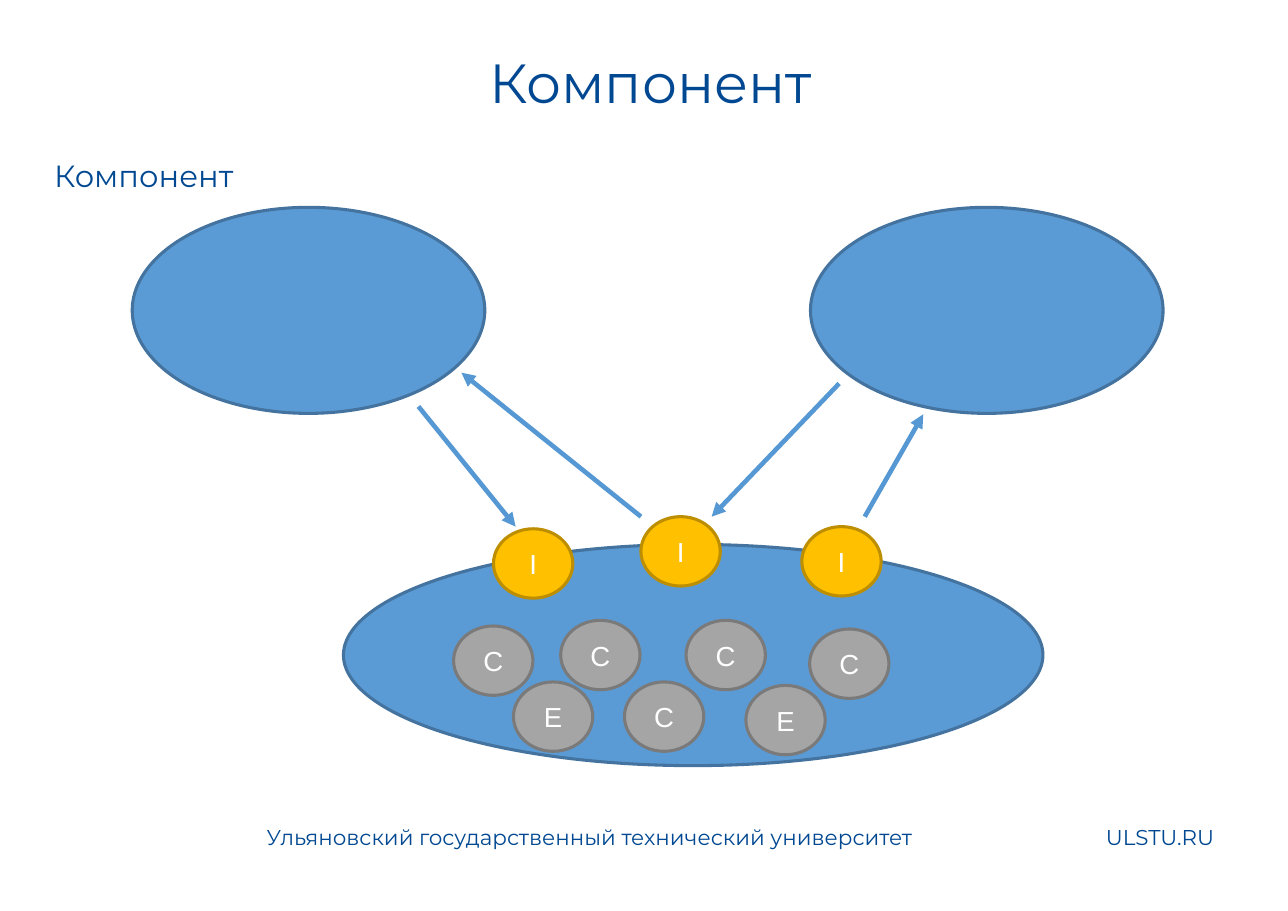
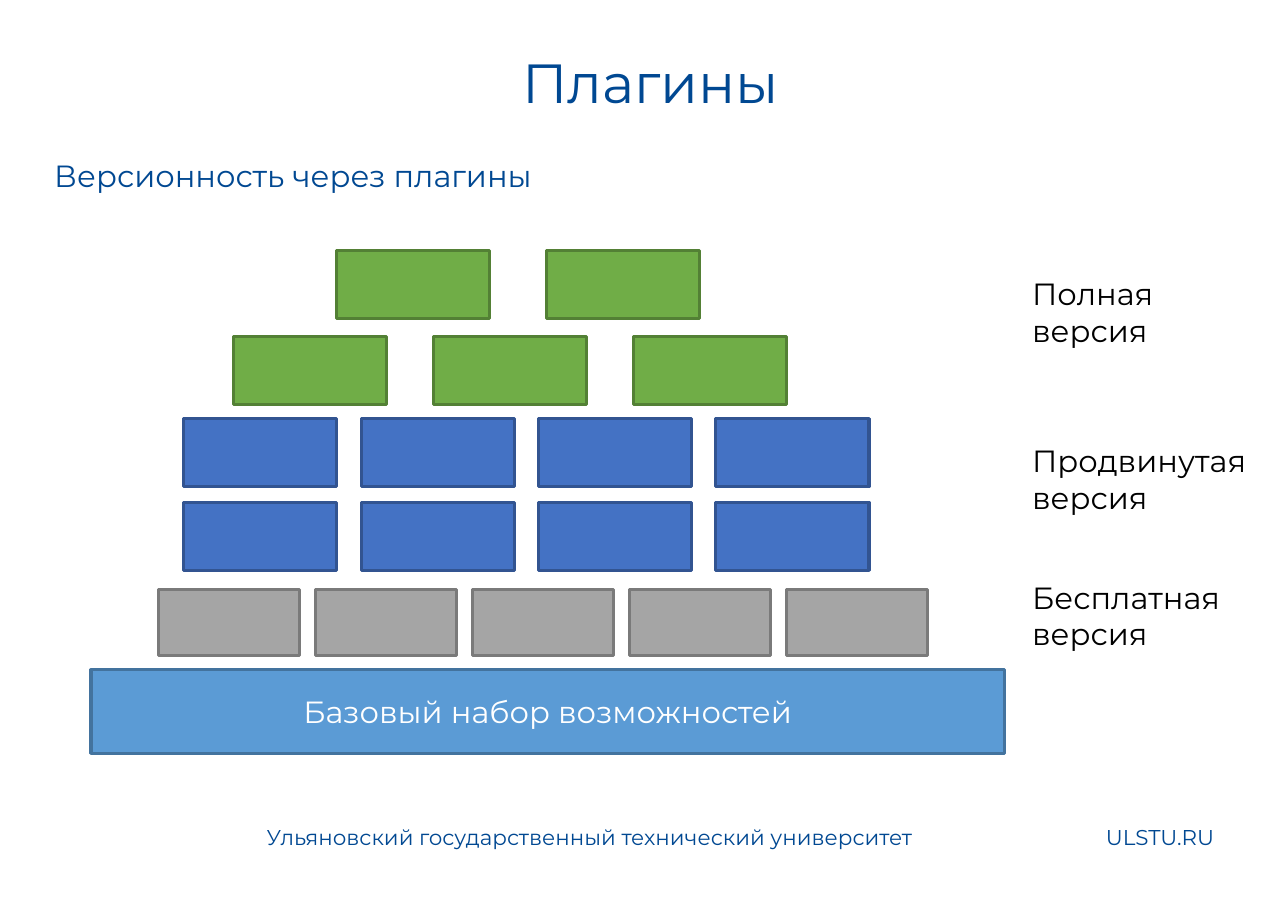
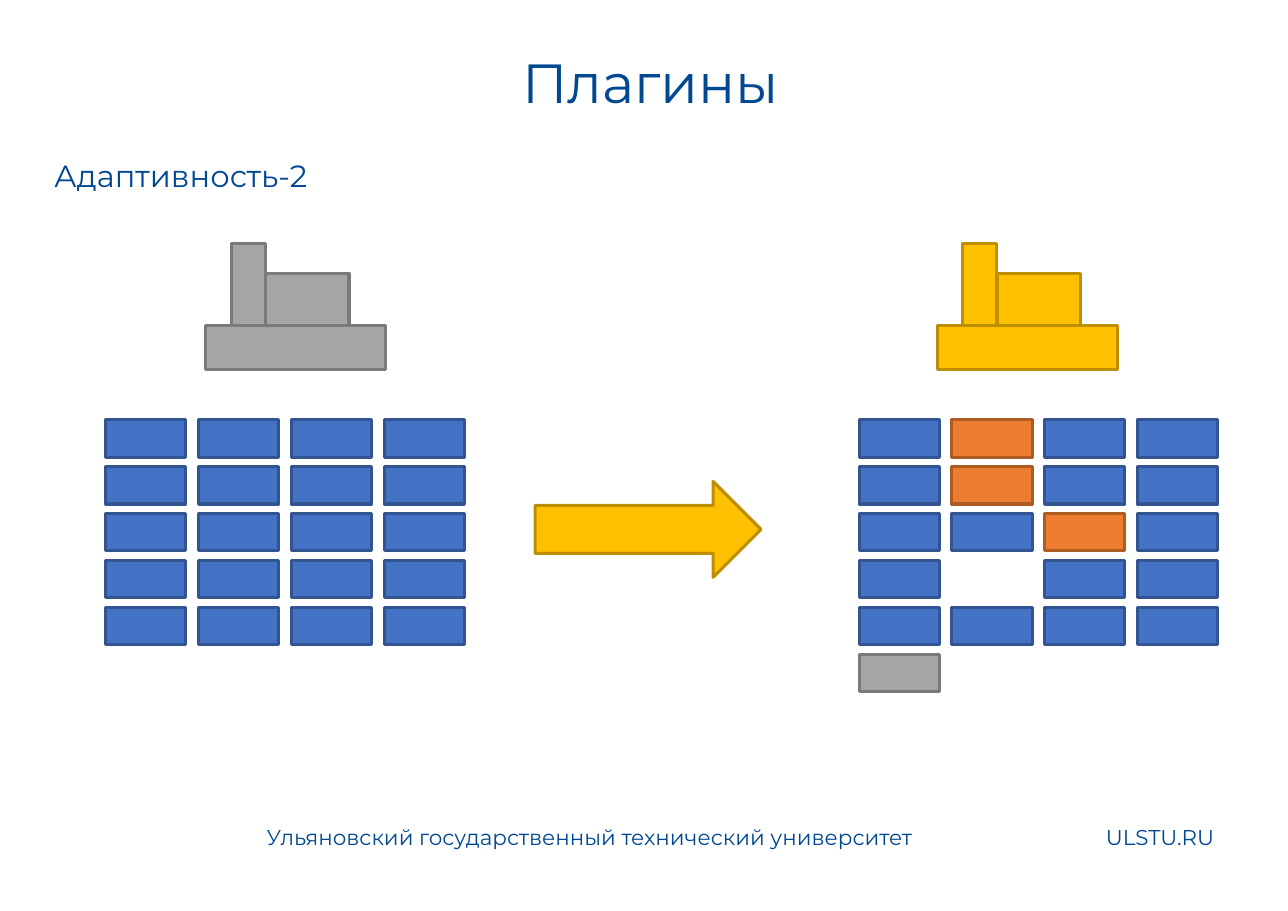
from dataclasses import dataclass

from lxml import etree
from pptx import Presentation
from pptx.dml.color import RGBColor
from pptx.enum import shapes, text
from pptx.oxml.ns import qn
from pptx.util import Cm, Pt


@dataclass(frozen=True)
class Theme:
    font: str = "Montserrat"
    mark_font: str = "Arial"
    ink: str = "004892"
    black: str = "000000"
    white: str = "FFFFFF"
    arrow: str = "5698D3"
    # fill and outline pairs
    sky: tuple = ("5B9BD5", "43739E")
    blue: tuple = ("4472C4", "325491")
    gold: tuple = ("FFC000", "BD8E00")
    gray: tuple = ("A5A5A5", "7A7A7A")
    green: tuple = ("70AD47", "538035")
    orange: tuple = ("ED7D31", "AF5C24")
    title: int = 36
    body: int = 20
    mark: int = 18
    footer: int = 14
    outline: int = 2
    arrow_width: int = 3


@dataclass(frozen=True)
class Box:
    x: float
    y: float
    w: float
    h: float

    def inside(self, x, y, w, h):
        """A box placed relative to this one."""
        return Box(self.x + x, self.y + y, w, h)

    def lengths(self):
        return Cm(self.x), Cm(self.y), Cm(self.w), Cm(self.h)


T = Theme()
PAGE_W, PAGE_H = 29.7, 21
RECT = shapes.MSO_SHAPE.RECTANGLE
OVAL = shapes.MSO_SHAPE.OVAL
ARROW = shapes.MSO_SHAPE.RIGHT_ARROW
CENTER = text.PP_ALIGN.CENTER


# Basic parts
def write(tf, words, size, color, font=T.font, align=None):
    tf.word_wrap = True
    p = tf.paragraphs[0]
    p.alignment = align
    r = p.add_run()
    r.text = words
    r.font.name = font
    r.font.size = Pt(size)
    r.font.color.rgb = RGBColor.from_string(color)


def add_text(s, box, words, size, color=T.ink, align=None):
    write(s.shapes.add_textbox(*box.lengths()).text_frame,
          words, size, color, align=align)


def add_block(parent, kind, box, colors, words="", size=T.body, font=T.font):
    fill, line = colors
    sp = parent.shapes.add_shape(kind, *box.lengths())
    sp.shadow.inherit = False
    sp.fill.solid()
    sp.fill.fore_color.rgb = RGBColor.from_string(fill)
    sp.line.color.rgb = RGBColor.from_string(line)
    sp.line.width = Pt(T.outline)
    if words:
        sp.text_frame.vertical_anchor = text.MSO_ANCHOR.MIDDLE
        write(sp.text_frame, words, size, T.white, font, CENTER)


def add_arrow(s, start, end):
    c = s.shapes.add_connector(shapes.MSO_CONNECTOR.STRAIGHT,
                               *map(Cm, start + end))
    c.line.color.rgb = RGBColor.from_string(T.arrow)
    c.line.width = Pt(T.arrow_width)
    props = c._element.spPr
    etree.SubElement(props.find(qn("a:ln")), qn("a:tailEnd"), type="triangle")
    etree.SubElement(props, qn("a:effectLst"))


def add_page(prs, title, subtitle):
    s = prs.slides.add_slide(prs.slide_layouts[6])
    add_text(s, Box(1, 1, 28, 2), title, T.title, align=CENTER)
    add_text(s, Box(1, 3.5, 28, 1.5), subtitle, T.body)
    add_text(s, Box(5.9, 18.87, 15.75, 1),
             "Ульяновский государственный технический университет", T.footer)
    add_text(s, Box(25.25, 18.87, 3.55, 1), "ULSTU.RU", T.footer)
    return s


# Component diagram
def component_diagram(s, box):
    node_w, node_h = 8.13, 4.75
    add_block(s, OVAL, box.inside(4.87, 7.77, 16.13, 5.1), T.sky)
    for x in (0, box.w - node_w):
        add_block(s, OVAL, box.inside(x, 0, node_w, node_h), T.sky)

    def add_marks(marks, colors):
        for letter, x, y in marks:
            add_block(s, OVAL, box.inside(x, y, 1.83, 1.6), colors,
                      letter, T.mark, T.mark_font)

    # Interfaces
    add_marks([("I", 8.33, 7.41), ("I", 15.44, 7.36), ("I", 11.73, 7.13)], T.gold)

    # Calls between the components
    for x1, y1, x2, y2 in [(6.6, 4.59, 8.84, 7.36), (16.3, 4.06, 13.36, 7.13),
                           (11.73, 7.13, 7.59, 3.81), (16.89, 7.13, 18.24, 4.77)]:
        add_arrow(s, (box.x + x1, box.y + y1), (box.x + x2, box.y + y2))

    # Inner classes
    add_marks([("C", 7.41, 9.65), ("C", 9.88, 9.52), ("C", 12.77, 9.52),
               ("C", 15.62, 9.72), ("C", 11.35, 10.94), ("E", 8.79, 10.94),
               ("E", 14.15, 11.02)], T.gray)


# Pyramid of plugins
def plugin_pyramid(s, box):
    base_h = 1.93
    add_block(s, RECT, box.inside(0, box.h - base_h, box.w, base_h), T.sky,
              "Базовый набор возможностей")
    large, small = (3.53, 1.57), (3.25, 1.52)
    rows = [  # colours, count, left, top, pitch, size
        (T.gray, 5, 1.56, 7.82, 3.62, small),
        (T.blue, 4, 2.14, 5.81, 4.09, large),
        (T.blue, 4, 2.14, 3.88, 4.09, large),
        (T.green, 3, 3.28, 1.98, 4.61, large),
        (T.green, 2, 5.67, 0, 4.83, large),
    ]
    for colors, count, left, top, pitch, size in rows:
        for i in range(count):
            add_block(s, RECT, box.inside(left + i * pitch, top, *size), colors)


def version_labels(s, box):
    for words, top in [("Полная версия", 0), ("Продвинутая версия", 3.84),
                       ("Бесплатная версия", 6.99)]:
        add_text(s, box.inside(0, top, box.w, 1.96), words, T.body, T.black)


# Adaptive system
def plugin_grid(s, box, rows):
    """Each letter of a row is one plugin; a dot leaves its cell empty."""
    palette = {"B": T.blue, "O": T.orange, "G": T.gray}
    cell_w, cell_h = 1.85, 0.86
    pitch_x, pitch_y = (box.w - cell_w) / 3, (box.h - cell_h) / 4
    group = s.shapes.add_group_shape()
    for i, row in enumerate(rows):
        for j, key in enumerate(row):
            if key in palette:
                add_block(group, RECT,
                          box.inside(j * pitch_x, i * pitch_y, cell_w, cell_h),
                          palette[key])


def factory(s, box, colors):
    group = s.shapes.add_group_shape()
    base_h = 1
    wall = box.h - base_h
    add_block(group, RECT, box.inside(0, wall, box.w, base_h), colors)
    add_block(group, RECT, box.inside(0.58, 0, 0.79, wall), colors)
    add_block(group, RECT, box.inside(1.37, 0.69, 1.93, wall - 0.69), colors)


def system_state(s, box, factory_x, colors, rows):
    factory(s, box.inside(factory_x, 0, 4.14, 2.9), colors)
    plugin_grid(s, box.inside(0, 4.07, box.w, 5.18), rows)


def main():
    prs = Presentation()
    prs.slide_width, prs.slide_height = Cm(PAGE_W), Cm(PAGE_H)

    s = add_page(prs, "Компонент", "Компонент")
    component_diagram(s, Box(3.05, 4.78, 23.77, 12.87))

    s = add_page(prs, "Плагины", "Версионность через плагины")
    plugin_pyramid(s, Box(2.1, 5.77, 21.06, 11.6))
    version_labels(s, Box(23.55, 6.22, 5.77, 8.95))

    s = add_page(prs, "Плагины", "Адаптивность-2")
    system_state(s, Box(2.44, 5.61, 8.27, 9.25), 2.31, T.gray, ["BBBB"] * 5)
    add_block(s, ARROW, Box(12.34, 11.1, 5.21, 2.21), T.gold)
    system_state(s, Box(19.81, 5.61, 8.27, 9.25), 1.81, T.gold,
                 ["BOBB", "BOBB", "BBOB", "B.BB", "BBBB", "G"])

    prs.save("out.pptx")


if __name__ == "__main__":
    main()
